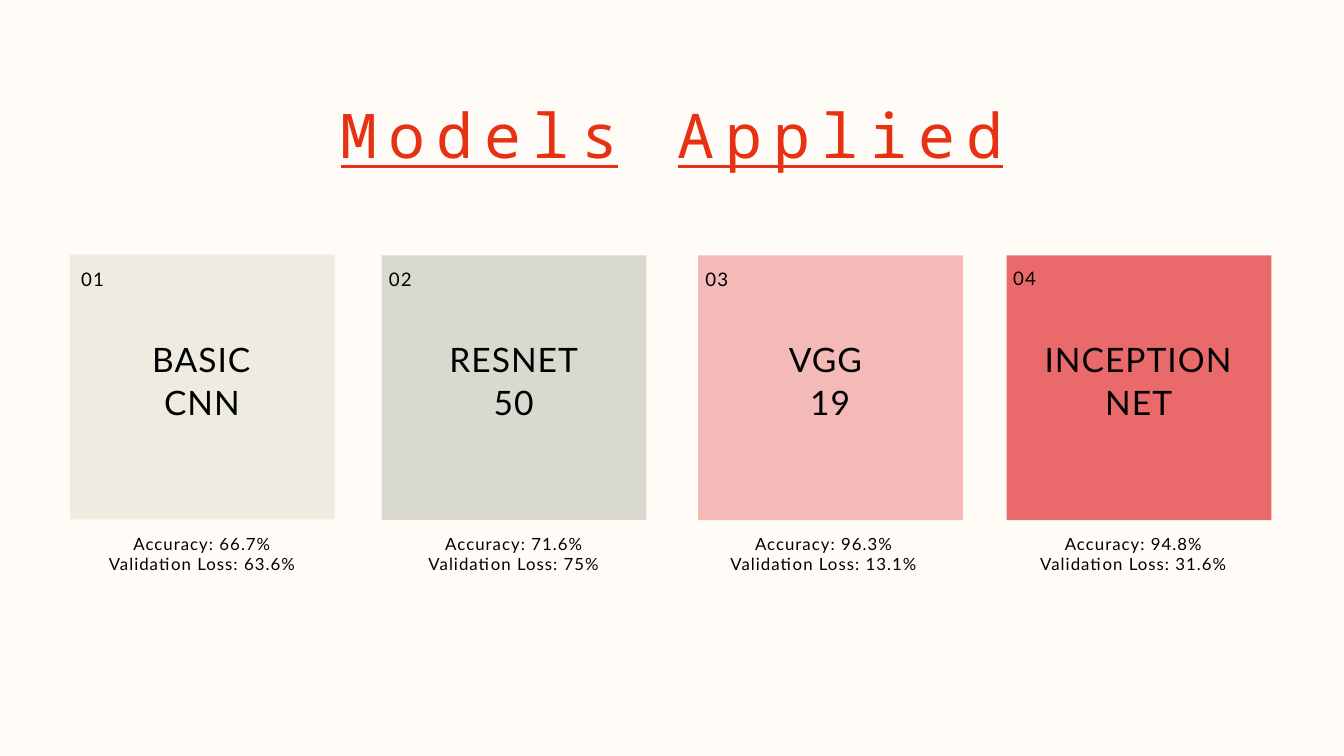
from pptx import Presentation
from pptx import util as u
from pptx.dml.color import RGBColor
from pptx.enum import shapes, text

PX = 9144
HUES = {"page": "FFFBF6", "title": "E73113", "ink": "000000", "cream": "EEECE1",
        "grey": "D9D9D0", "pink": "F3BAB8", "red": "EA696A"}

deck = Presentation()
deck.slide_width, deck.slide_height = 2000 * PX, 1125 * PX
slide = deck.slides.add_slide(deck.slide_layouts[6])
slide.background.fill.solid()
slide.background.fill.fore_color.rgb = RGBColor.from_string(HUES["page"])


def write(lines, box, size=20, font="Lato", hue="ink", gap=1.1, lead=None, mid=True, pad=10, line=False):
    shape = slide.shapes.add_textbox(*[n * PX for n in box])
    frame = shape.text_frame
    frame.word_wrap = True
    frame.auto_size = text.MSO_AUTO_SIZE.SHAPE_TO_FIT_TEXT
    frame.margin_left = frame.margin_right = pad * PX
    frame.margin_top = frame.margin_bottom = pad // 2 * PX
    for i, parts in enumerate(lines):
        para = frame.paragraphs[0] if i == 0 else frame.add_paragraph()
        para.alignment = text.PP_ALIGN.CENTER if mid else text.PP_ALIGN.LEFT
        if lead:
            para.line_spacing = u.Pt(lead)
        for part in parts:
            run = para.add_run()
            run.text = part
            run.font.size = u.Pt(size)
            run.font.name = font
            run.font.color.rgb = RGBColor.from_string(HUES[hue])
            run.font.underline = line and part != " "
            run._r.get_or_add_rPr().set("spc", str(round(gap * 100)))


write([["Models", " ", "Applied"]], (454, 88, 1092, 152), size=66, font="Noto Sans Mono",
      hue="title", gap=12, lead=120, pad=0, line=True)

cards = [
    ("cream", 104, 379, 111, 362, 194, 213, 141, ["BASIC CNN"], "66.7%", "63.6%"),
    ("grey", 568, 380, 569, 362, 656, 217, 605, ["RESNET", "50"], "71.6%", "75%"),
    ("pink", 1039, 380, 1040, 362, 1129, 213, 1066, ["VGG ", "19"], "96.3%", "13.1%"),
    ("red", 1498, 380, 1498, 361, 1543, 303, 1527, ["INCEPTION ", "NET"], "94.8%", "31.6%"),
]
for i, (hue, left, top, numx, numy, namex, wide, notex, name, score, loss) in enumerate(cards, 1):
    card = slide.shapes.add_shape(shapes.MSO_SHAPE.RECTANGLE, left * PX, top * PX, 394 * PX, 394 * PX)
    card.shadow.inherit = False
    card.fill.solid()
    card.fill.fore_color.rgb = RGBColor.from_string(HUES[hue])
    card.line.fill.background()
    write([[f"{i:02}"]], (numx, numy, 73, 69), lead=46.8, mid=False)
    write([[part] for part in name], (namex, 494, wide, 137), size=36, lead=46.8)
    write([[f"Accuracy: {score}"], [f"Validation Loss: {loss}"]], (notex, 789, 319, 71), size=18)

deck.save("out.pptx")
